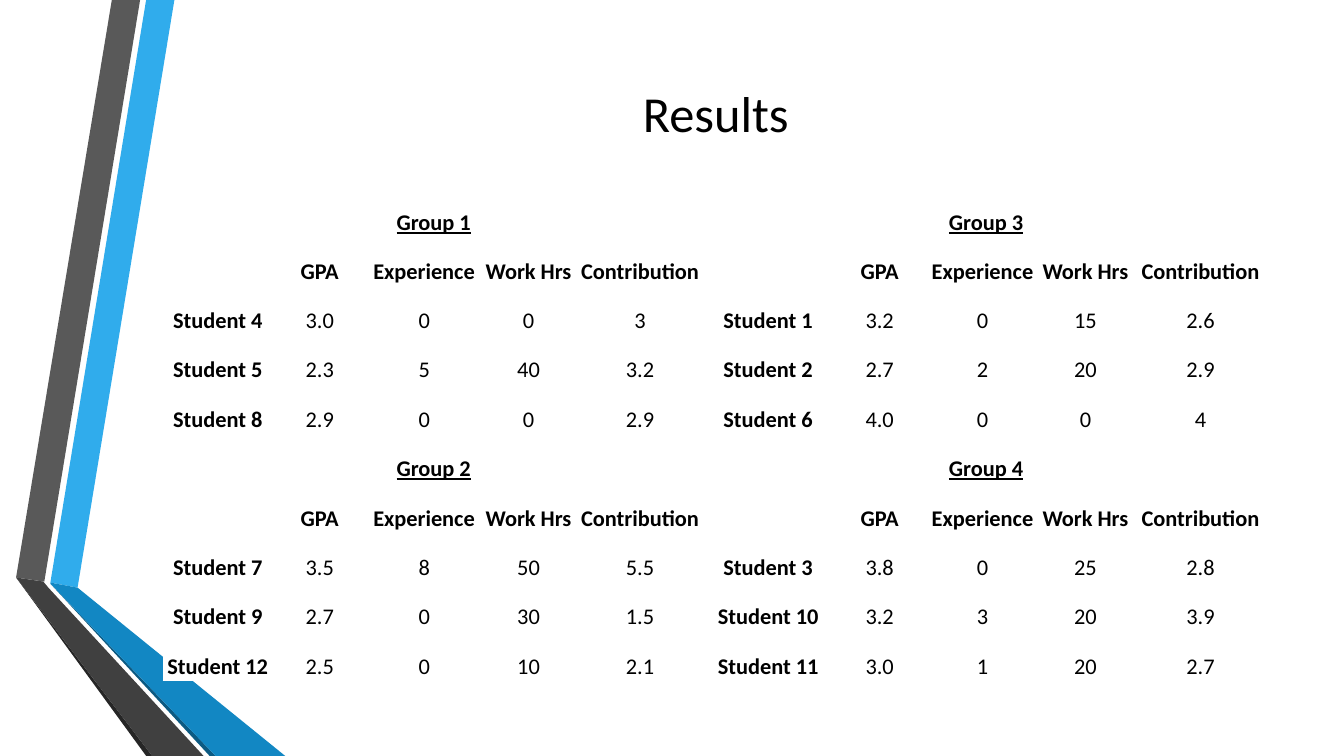
from lxml.etree import SubElement
from pptx import Presentation
from pptx.dml.color import RGBColor
from pptx.enum.text import MSO_ANCHOR as Anchor, PP_ALIGN as Align
from pptx.oxml.ns import qn
from pptx.util import Inches, Pt

FONT = "Calibri"
BLACK, WHITE = "000000", "FFFFFF"

# Ribbon colour and outline in inches, from back to front
RIBBONS = [
    ("30ACEC", [(0.5, 5.78), (0.77, 5.83), (1.73, 0), (1.45, 0)]),
    ("595959", [(1.39, 0), (1.11, 0), (0.16, 5.73), (0.44, 5.77)]),
    ("262626", [(0.16, 5.73), (1.45, 7.5), (1.51, 7.5)]),
    ("0C5A82", [(0.5, 5.79), (2.08, 7.5), (2.14, 7.5)]),
    ("1287C3", [(0.5, 5.79), (2.14, 7.5), (2.83, 7.5), (0.77, 5.83), (0.5, 5.78)]),
    ("404040", [(2.02, 7.5), (0.48, 5.83), (0.43, 5.77), (0.16, 5.73), (1.51, 7.5)]),
]

HEADINGS = ["", "GPA", "Experience", "Work Hrs", "Contribution"]
# Groups stand in the table as they do here: two bands of two groups
GROUP_BANDS = [
    [
        ("Group 1", [("Student 4", "3.0", "0", "0", "3"),
                     ("Student 5", "2.3", "5", "40", "3.2"),
                     ("Student 8", "2.9", "0", "0", "2.9")]),
        ("Group 3", [("Student 1", "3.2", "0", "15", "2.6"),
                     ("Student 2", "2.7", "2", "20", "2.9"),
                     ("Student 6", "4.0", "0", "0", "4")]),
    ],
    [
        ("Group 2", [("Student 7", "3.5", "8", "50", "5.5"),
                     ("Student 9", "2.7", "0", "30", "1.5"),
                     ("Student 12", "2.5", "0", "10", "2.1")]),
        ("Group 4", [("Student 3", "3.8", "0", "25", "2.8"),
                     ("Student 10", "3.2", "3", "20", "3.9"),
                     ("Student 11", "3.0", "1", "20", "2.7")]),
    ],
]
COLUMN_WEIGHTS = [1.08, 0.94, 1.13, 0.94, 1.27, 1.27, 0.94, 1.1, 0.94, 1.34]
GROUP_ROW_WEIGHTS = [0.49, 0.49, 0.49, 0.49, 0.5]
GROUP_COLUMNS, GROUP_ROWS = len(HEADINGS), len(GROUP_ROW_WEIGHTS)


def rgb(hex_colour):
    return RGBColor.from_string(hex_colour)


def format_text(paragraph, size, bold=False, underline=False):
    paragraph.alignment = Align.CENTER
    font = paragraph.font
    font.name, font.size, font.bold, font.underline = FONT, Pt(size), bold, underline
    font.color.rgb = rgb(BLACK)


def add_ribbons(slide):
    group = slide.shapes.add_group_shape()
    for colour, outline in RIBBONS:
        points = [(Inches(x), Inches(y)) for x, y in outline]
        builder = group.shapes.build_freeform(*points[0])
        builder.add_line_segments(points[1:], close=True)
        ribbon = builder.convert_to_shape()
        ribbon.shadow.inherit = False
        ribbon.fill.solid()
        ribbon.fill.fore_color.rgb = rgb(colour)
        ribbon.line.fill.background()


def set_title(slide, text, left, top, width, height):
    title = slide.shapes.title
    title.left, title.top, title.width, title.height = left, top, width, height
    title.text_frame.text = text
    title.text_frame.vertical_anchor = Anchor.MIDDLE
    format_text(title.text_frame.paragraphs[0], 36)


def style_cell(cell):
    cell.vertical_anchor = Anchor.BOTTOM
    cell.margin_left = cell.margin_right = cell.margin_top = Inches(0.01)
    cell.margin_bottom = 0
    properties = cell._tc.get_or_add_tcPr()
    for side in ("a:lnL", "a:lnR", "a:lnT", "a:lnB"):
        border = SubElement(properties, qn(side), w=str(Pt(1)))
        fill = SubElement(border, qn("a:solidFill"))
        SubElement(fill, qn("a:srgbClr"), val=WHITE)
    cell.fill.solid()
    cell.fill.fore_color.rgb = rgb(WHITE)


def fill_group(table, first_row, first_column, name, students):
    """Write one group's name, headings and students into its block of cells."""
    name_cell = table.cell(first_row, first_column)
    name_cell.merge(table.cell(first_row, first_column + GROUP_COLUMNS - 1))
    name_cell.text = name
    format_text(name_cell.text_frame.paragraphs[0], 16, bold=True, underline=True)
    for row, values in enumerate([HEADINGS, *students]):
        for column, value in enumerate(values):
            cell = table.cell(first_row + 1 + row, first_column + column)
            cell.text = value
            format_text(cell.text_frame.paragraphs[0], 16, bold=row == 0 or column == 0)


def add_results_table(slide, left, top, width, height):
    row_weights = GROUP_ROW_WEIGHTS * len(GROUP_BANDS)
    table = slide.shapes.add_table(
        len(row_weights), len(COLUMN_WEIGHTS), left, top, width, height).table
    table.first_row = table.horz_banding = False
    for column, weight in zip(table.columns, COLUMN_WEIGHTS):
        column.width = int(width * weight / sum(COLUMN_WEIGHTS))
    for row, weight in zip(table.rows, row_weights):
        row.height = int(height * weight / sum(row_weights))
    for cell in table.iter_cells():
        style_cell(cell)
    for band, groups in enumerate(GROUP_BANDS):
        for side, (name, students) in enumerate(groups):
            fill_group(table, band * GROUP_ROWS, side * GROUP_COLUMNS, name, students)


def build_results_slide(presentation):
    slide = presentation.slides.add_slide(presentation.slide_layouts[5])
    slide.background.fill.solid()
    slide.background.fill.fore_color.rgb = rgb(WHITE)
    left, width = Inches(1.62), Inches(10.96)
    add_ribbons(slide)
    set_title(slide, "Results", left, Inches(0.75), width, Inches(0.72))
    add_results_table(slide, left, Inches(1.86), width, Inches(4.89))


def main():
    presentation = Presentation()
    presentation.slide_width, presentation.slide_height = Inches(13.33), Inches(7.5)
    build_results_slide(presentation)
    presentation.save("out.pptx")


if __name__ == "__main__":
    main()
